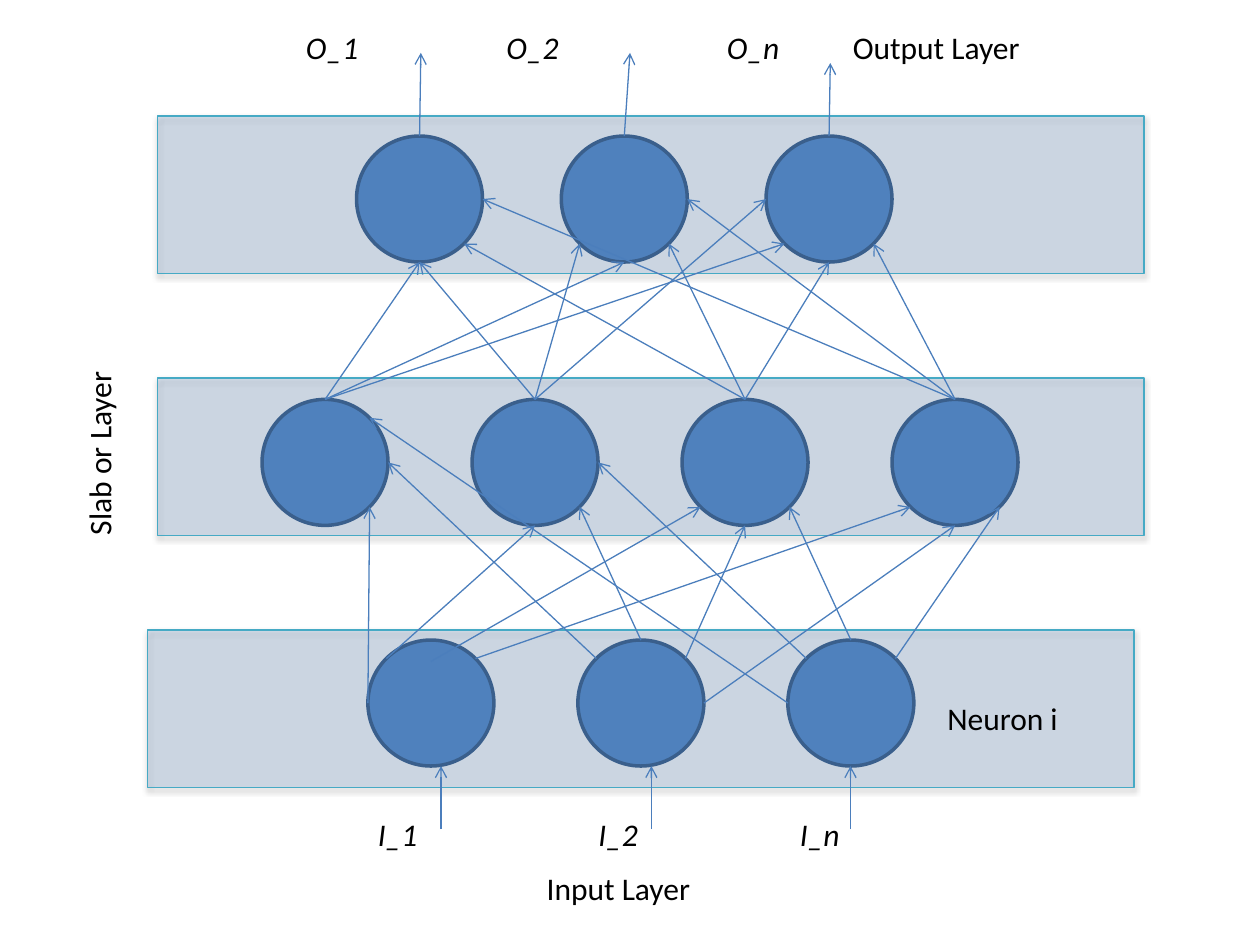
from pptx import Presentation
from pptx.dml.color import RGBColor
from pptx.enum.shapes import MSO_CONNECTOR, MSO_SHAPE
from pptx.enum.text import MSO_AUTO_SIZE
from pptx.oxml import parse_xml
from pptx.oxml.ns import nsdecls
from pptx.util import Inches, Pt

RECTANGLE, OVAL = MSO_SHAPE.RECTANGLE, MSO_SHAPE.OVAL
STRAIGHT = MSO_CONNECTOR.STRAIGHT
FIT_SHAPE = MSO_AUTO_SIZE.SHAPE_TO_FIT_TEXT

BLUE = RGBColor(0x4F, 0x81, 0xBD)
DARK_BLUE = RGBColor(0x3A, 0x5F, 0x8C)
ARROW_BLUE = RGBColor(0x4B, 0x7E, 0xBC)
TEAL = RGBColor(0x46, 0xAA, 0xC5)
BLACK = RGBColor(0, 0, 0)

SLAB_SHADOW = (
    f'<a:effectLst {nsdecls("a")}><a:outerShdw blurRad="40000" dist="20000" dir="5400000" '
    'rotWithShape="0"><a:srgbClr val="000000"><a:alpha val="38000"/></a:srgbClr>'
    '</a:outerShdw></a:effectLst>'
)
RADIUS = 0.5
DIAGONAL = RADIUS * 0.5 ** 0.5
# Offsets from a neuron's centre to the points where arrows meet its edge
SITES = {
    "top": (0, -RADIUS), "bottom": (0, RADIUS),
    "left": (-RADIUS, 0), "right": (RADIUS, 0),
    "top left": (-DIAGONAL, -DIAGONAL), "top right": (DIAGONAL, -DIAGONAL),
    "bottom left": (-DIAGONAL, DIAGONAL), "bottom right": (DIAGONAL, DIAGONAL),
}


def site(center, name):
    """Return the point on the edge of the neuron centred at center."""
    dx, dy = SITES[name]
    return center[0] + dx, center[1] + dy


def add_arrow(start, end):
    arrow = page.shapes.add_connector(STRAIGHT, *map(Inches, start + end))
    arrow.line.color.rgb = ARROW_BLUE
    arrow.line.width = Pt(0.75)
    arrow.line._get_or_add_ln().append(
        parse_xml(f'<a:tailEnd {nsdecls("a")} type="arrow"/>'))
    arrow._element.spPr.append(parse_xml(f'<a:effectLst {nsdecls("a")}/>'))


deck = Presentation()
deck.slide_width, deck.slide_height = Inches(10), Inches(7.5)
page = deck.slides.add_slide(deck.slide_layouts[6])

# Slabs
for left, top in [(1.25, 0.92), (1.25, 3), (1.17, 5)]:
    slab = page.shapes.add_shape(
        RECTANGLE, Inches(left), Inches(top), Inches(7.83), Inches(1.25))
    slab.fill.solid()
    slab.fill.fore_color.rgb = BLUE
    color = slab._element.spPr.find(".//{*}solidFill/{*}srgbClr")
    color.append(parse_xml(f'<a:alpha {nsdecls("a")} val="20000"/>'))
    slab.line.color.rgb = TEAL
    slab.line.width = Pt(0.75)
    slab._element.spPr.append(parse_xml(SLAB_SHADOW))

# Neurons: first centre x, spacing, centre y, count
layers = []
for first_x, pitch, y, count in [
    (3.33, 1.625, 1.58, 3), (2.58, 5 / 3, 3.67, 4), (3.42, 5 / 3, 5.58, 3),
]:
    centers = [(first_x + pitch * i, y) for i in range(count)]
    layers.append(centers)
    for x, y in centers:
        neuron = page.shapes.add_shape(
            OVAL, Inches(x - RADIUS), Inches(y - RADIUS), Inches(2 * RADIUS), Inches(2 * RADIUS))
        neuron.fill.solid()
        neuron.fill.fore_color.rgb = BLUE
        neuron.line.color.rgb = DARK_BLUE
        neuron.line.width = Pt(2)
        neuron.shadow.inherit = False
outputs, hidden, inputs = layers

# Input layer to hidden layer
for source, source_site, target, target_site in [
    (0, "left", 0, "bottom right"), (0, "top left", 1, "bottom"),
    (0, "top right", 3, "bottom left"),
    (1, "top left", 0, "right"), (1, "top", 1, "bottom right"),
    (1, "top right", 2, "bottom"), (1, "right", 3, "bottom"),
    (2, "left", 0, "top right"), (2, "top left", 1, "right"),
    (2, "top", 2, "bottom right"), (2, "top right", 3, "bottom right"),
]:
    add_arrow(site(inputs[source], source_site), site(hidden[target], target_site))
add_arrow((3.42, 5.25), site(hidden[2], "bottom left"))

# Hidden layer to output layer: each row lists where one neuron meets every output
hidden_to_output = [
    ("bottom", "bottom", "bottom left"),
    ("bottom", "bottom left", "left"),
    ("bottom right", "bottom right", "bottom"),
    ("right", "right", "bottom right"),
]
for source, target_sites in zip(hidden, hidden_to_output):
    for target, target_site in zip(outputs, target_sites):
        add_arrow(site(source, "top"), site(target, target_site))

# Arrows leaving the outputs and entering the inputs
for center, tip in zip(outputs, [(3.34, 0.42), (5, 0.42), (6.59, 0.5)]):
    add_arrow(site(center, "top"), tip)
for x in (3.5, 5.17, 6.75):
    add_arrow((x, 6.58), (x, 6.08))

# Labels: text, left, top, width, italic, rotation
for text, left, top, width, italic, rotation in [
    ("Slab or Layer", 0.03, 3.39, 1.51, False, 270),
    ("Neuron i", 7.42, 5.5, 1.09, False, 0),
    ("I_1", 2.9, 6.42, 0.52, True, 0),
    ("I_2", 4.65, 6.42, 0.52, True, 0),
    ("I_n", 6.25, 6.42, 0.52, True, 0),
    ("Input Layer", 4.24, 6.85, 1.35, False, 0),
    ("O_1", 2.33, 0.17, 0.62, True, 0),
    ("O_2", 3.92, 0.17, 0.62, True, 0),
    ("O_n", 5.67, 0.17, 0.62, True, 0),
    ("Output Layer", 6.67, 0.17, 1.54, False, 0),
]:
    box = page.shapes.add_textbox(Inches(left), Inches(top), Inches(width), Inches(0.4))
    box.rotation = rotation
    box.text_frame.word_wrap = False
    box.text_frame.auto_size = FIT_SHAPE
    para = box.text_frame.paragraphs[0]
    para.text = text
    para.font.name = "Calibri"
    para.font.size = Pt(18)
    para.font.italic = italic
    para.font.color.rgb = BLACK

deck.save("out.pptx")
